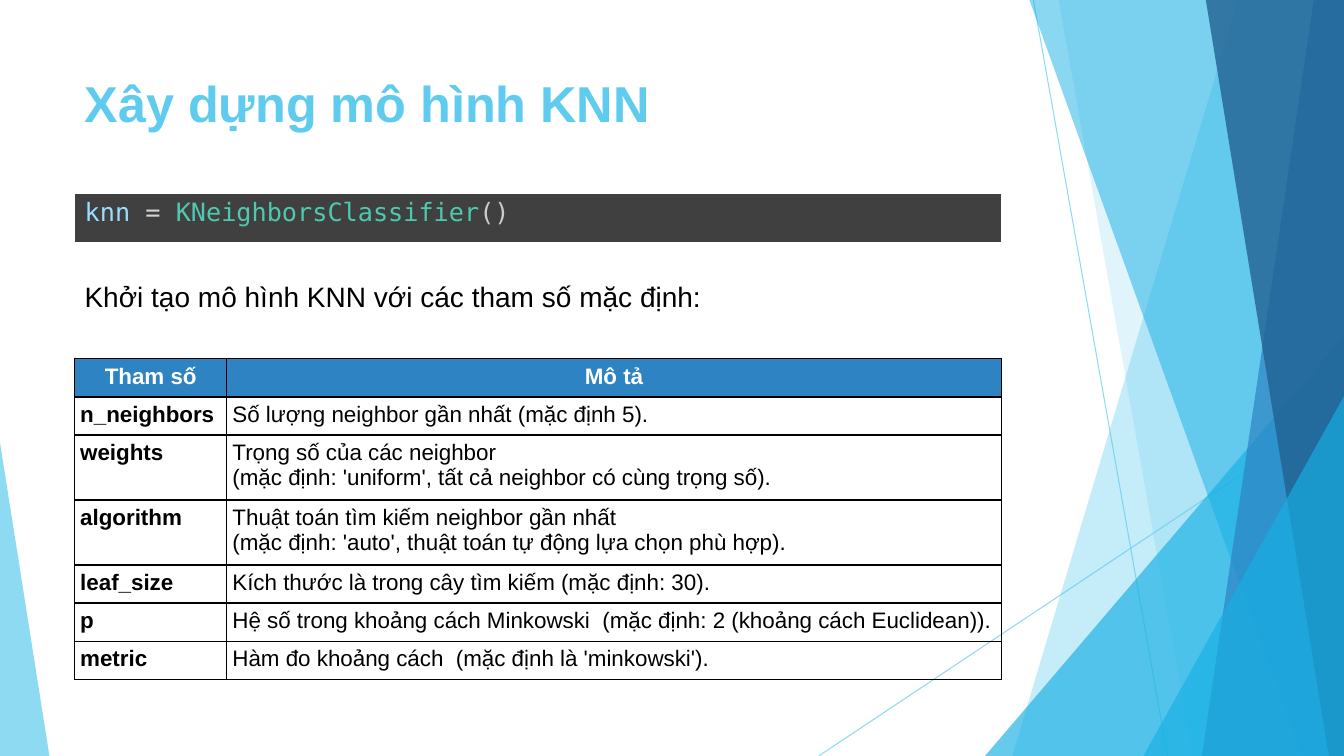
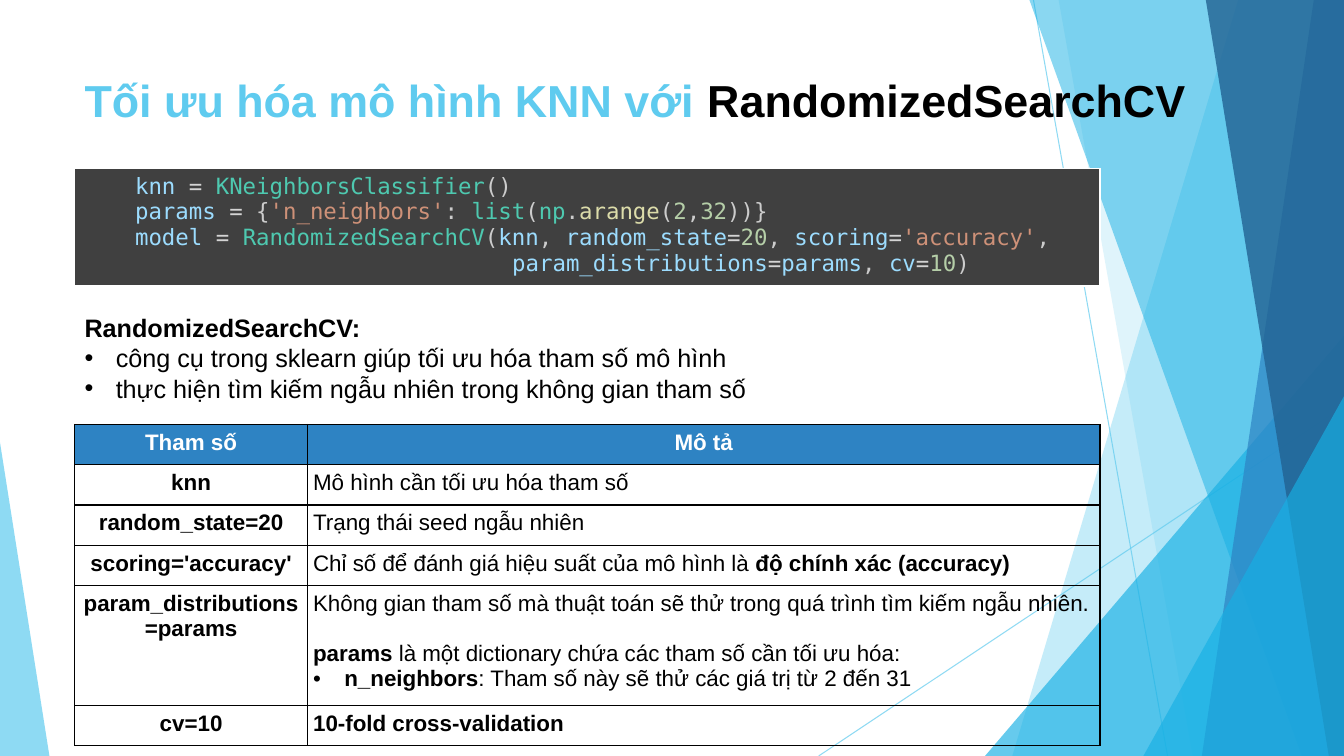
from dataclasses import dataclass

from lxml import etree
from pptx import Presentation
from pptx import util as u
from pptx.dml.color import RGBColor
from pptx.enum import shapes, text
from pptx.oxml import ns


@dataclass(frozen=True)
class Theme:
    sky: str = "5FCBEF"
    cyan: str = "17B0E4"
    blue: str = "2E83C3"
    navy: str = "226292"
    ink: str = "000000"
    paper: str = "FFFFFF"
    code_back: str = "404040"
    sans: str = "Arial"
    mono: str = "DejaVu Sans Mono"
    cell_size: int = 16


THEME = Theme()
SYNTAX = {"var": "9CDCFE", "op": "D4D4D4", "type": "4EC9B0", "plain": "CCCCCC",
          "str": "CE9178", "func": "DCDCAA", "num": "B5CEA8"}
WIDTH, HEIGHT = 13.33, 7.5
LEFT = 0.74
HEADINGS = ("Tham số", "Mô tả")
BULLET = "• "
BULLET_INDENT = 0.31
CELL_INSET = u.Pt(4)

# Facets from back to front: a band is (top x, bottom x) running to the right
# edge, a triangle is (left, top, width, apex share).
FACETS = [
    ("band", (12.28, 10.04), THEME.sky, 36),
    ("band", (10.5, 11.83), THEME.sky, 20),
    ("triangle", (9.77, 3.33, 3.56, 1), THEME.cyan, 66),
    ("band", (10.21, 12.91), THEME.cyan, 50),
    ("band", (13.03, 11.92), THEME.blue, 70),
    ("band", (11.96, 13.18), THEME.navy, 80),
    ("triangle", (11.34, 3.93, 1.99, 1), THEME.cyan, 66),
    ("triangle", (0, 4.39, 0.49, 0), THEME.sky, 70),
]
RAYS = [((10.25, 0), (11.58, HEIGHT)), ((WIDTH, 4.03), (8.12, HEIGHT))]


def inches(*lengths):
    return [u.Inches(length) for length in lengths]


def rgb(color):
    return RGBColor.from_string(color)


def sub(parent, tag, **attributes):
    return etree.SubElement(parent, ns.qn(tag), attributes)


def set_alpha(drawn, percent):
    for color in drawn._element.spPr.iter(ns.qn("a:srgbClr")):
        sub(color, "a:alpha", val=str(percent * 1000))


def add_backdrop(slide):
    """Draw the thin rays and the translucent facets shared by all slides."""
    for start, end in RAYS:
        ray = slide.shapes.add_connector(
            shapes.MSO_CONNECTOR.STRAIGHT, *inches(*start, *end))
        ray.line.color.rgb = rgb(THEME.sky)
        ray.line.width = u.Pt(0.75)
        set_alpha(ray, 70)
        sub(ray._element.spPr, "a:effectLst")
    for kind, place, color, percent in FACETS:
        if kind == "band":
            top_x, bottom_x = place
            outline = slide.shapes.build_freeform(*inches(top_x, 0))
            outline.add_line_segments(
                [inches(*point) for point in
                 ((WIDTH, 0), (WIDTH, HEIGHT), (bottom_x, HEIGHT))])
            facet = outline.convert_to_shape()
        else:
            left, top, width, apex = place
            facet = slide.shapes.add_shape(
                shapes.MSO_SHAPE.ISOSCELES_TRIANGLE,
                *inches(left, top, width, HEIGHT - top))
            facet.adjustments[0] = apex
        facet.shadow.inherit = False
        facet.fill.solid()
        facet.fill.fore_color.rgb = rgb(color)
        facet.line.fill.background()
        set_alpha(facet, percent)


def set_indent(paragraph, margin, first=0):
    properties = paragraph._p.get_or_add_pPr()
    properties.set("marL", str(u.Inches(margin)))
    properties.set("indent", str(u.Inches(first)))


def set_font(paragraph, size, color=None, bold=None, face=THEME.sans):
    font = paragraph.font
    font.name, font.size, font.bold = face, u.Pt(size), bold
    if color:
        font.color.rgb = rgb(color)


def paragraphs_for(frame, lines):
    """Pair each line with its own paragraph of the frame."""
    for number, line in enumerate(lines):
        yield (frame.add_paragraph() if number else frame.paragraphs[0]), line


def write_marked(frame, lines, size, color=THEME.ink, align=None):
    """Write lines where *stars* mark bold, newlines break, and • is a bullet."""
    for paragraph, line in paragraphs_for(frame, lines):
        if line.startswith(BULLET):
            line = line.removeprefix(BULLET)
            set_indent(paragraph, BULLET_INDENT, -BULLET_INDENT)
            sub(paragraph._p.get_or_add_pPr(), "a:buFont", typeface=THEME.sans)
            sub(paragraph._p.get_or_add_pPr(), "a:buChar", char=BULLET.strip())
        paragraph.alignment = align
        pieces = line.split("*")
        all_bold = not any(pieces[::2])
        set_font(paragraph, size, color, all_bold)
        for position, piece in enumerate(pieces):
            for row, part in enumerate(piece.split("\n") if piece else []):
                if row:
                    paragraph.add_line_break()
                run = paragraph.add_run()
                run.text = part
                if position % 2 and not all_bold:
                    run.font.bold = True


def add_text_box(slide, left, top, width, height):
    frame = slide.shapes.add_textbox(*inches(left, top, width, height)).text_frame
    frame.word_wrap = True
    return frame


def add_title(slide, size, width, *parts):
    """Write the title from (words, colour) parts."""
    title = add_text_box(slide, LEFT, 0.67, width, 1.44).paragraphs[0]
    set_font(title, size, bold=True)
    for words, color in parts:
        run = title.add_run()
        run.text = words
        run.font.color.rgb = rgb(color)


def add_note(slide, top, width, height, lines, size):
    write_marked(add_text_box(slide, LEFT, top, width, height), lines, size)


def style_cell(cell, fill, border):
    properties = cell._tc.get_or_add_tcPr()
    for side in ("a:lnL", "a:lnR", "a:lnT", "a:lnB"):
        edge = sub(properties, side, w=str(u.Pt(1)))
        sub(sub(edge, "a:solidFill"), "a:srgbClr", val=border)
    if fill:
        cell.fill.solid()
        cell.fill.fore_color.rgb = rgb(fill)
    else:
        cell.fill.background()


def add_grid(slide, top, columns, rows):
    """Add an unbanded table with the given column widths and row heights."""
    table = slide.shapes.add_table(
        len(rows), len(columns),
        *inches(LEFT, top, sum(columns), sum(rows))).table
    table.first_row = table.horz_banding = False
    for column, width in zip(table.columns, columns):
        column.width = u.Inches(width)
    for row, height in zip(table.rows, rows):
        row.height = u.Inches(height)
    return table


def add_code(slide, top, width, height, size, lines):
    """Write lines of (indent, tokens) on a dark panel."""
    cell = add_grid(slide, top, [width], [height]).cell(0, 0)
    style_cell(cell, THEME.code_back, THEME.paper)
    for paragraph, (indent, tokens) in paragraphs_for(cell.text_frame, lines):
        set_indent(paragraph, indent)
        set_font(paragraph, size, face=THEME.mono)
        for kind, token in tokens:
            run = paragraph.add_run()
            run.text = token
            run.font.color.rgb = rgb(SYNTAX[kind])


def add_parameters(slide, top, columns, heights, parameters, name_align=None):
    """Add the table of parameter names and their descriptions."""
    table = add_grid(slide, top, columns, heights)
    center = text.PP_ALIGN.CENTER
    entries = [HEADINGS] + parameters
    for row, (name, description) in enumerate(entries):
        lines = description if isinstance(description, list) else [description]
        if row == 0:
            lines = [f"*{description}*"]
        for column, content in enumerate(([f"*{name}*"], lines)):
            cell = table.cell(row, column)
            cell.margin_left = cell.margin_right = CELL_INSET
            cell.margin_top = cell.margin_bottom = CELL_INSET
            style_cell(cell, None if row else THEME.blue, THEME.ink)
            align = center if row == 0 else (None if column else name_align)
            write_marked(cell.text_frame, content, THEME.cell_size,
                         THEME.ink if row else THEME.paper, align)
    return table


def new_slide(deck):
    slide = deck.slides.add_slide(deck.slide_layouts[6])
    add_backdrop(slide)
    return slide


CREATE_KNN = [("var", "knn "), ("op", "= "), ("type", "KNeighborsClassifier"),
              ("plain", "()")]


def build_model_slide(deck):
    slide = new_slide(deck)
    add_title(slide, 36, 9.4, ("Xây dựng mô hình KNN", THEME.sky))
    add_code(slide, 1.92, 9.19, 0.49, 18, [(0, CREATE_KNN)])
    one, two = 0.36, 0.61
    add_parameters(slide, 3.56, [1.51, 7.68], [one, one, two, two, one, one, one], [
        ("n_neighbors", "Số lượng neighbor gần nhất (mặc định 5)."),
        ("weights", "Trọng số của các neighbor\n"
                    "(mặc định: 'uniform', tất cả neighbor có cùng trọng số)."),
        ("algorithm", "Thuật toán tìm kiếm neighbor gần nhất\n"
                      "(mặc định: 'auto', thuật toán tự động lựa chọn phù hợp)."),
        ("leaf_size", "Kích thước là trong cây tìm kiếm (mặc định: 30)."),
        ("p", "Hệ số trong khoảng cách Minkowski  "
              "(mặc định: 2 (khoảng cách Euclidean))."),
        ("metric", "Hàm đo khoảng cách  (mặc định là 'minkowski')."),
    ])
    add_note(slide, 2.72, 6.67, 0.44,
             ["Khởi tạo mô hình KNN với các tham số mặc định:"], 20)


def build_search_slide(deck):
    slide = new_slide(deck)
    add_title(slide, 32, 11.59, ("Tối ưu hóa mô hình KNN với ", THEME.sky),
              ("RandomizedSearchCV", THEME.ink))
    indent, argument_indent = 0.5, 4.24
    add_code(slide, 1.67, 10.17, 1.13, 16, [
        (indent, CREATE_KNN),
        (indent, [("var", "params "), ("op", "="), ("plain", " {"),
                  ("str", "'n_neighbors'"), ("plain", ": "), ("type", "list"),
                  ("plain", "("), ("type", "np"), ("plain", "."),
                  ("func", "arange"), ("plain", "("), ("num", "2"),
                  ("plain", ","), ("num", "32"), ("plain", "))}")]),
        (indent, [("var", "model "), ("op", "= "), ("type", "RandomizedSearchCV"),
                  ("plain", "("), ("var", "knn"), ("plain", ", "),
                  ("var", "random_state"), ("op", "="), ("num", "20"),
                  ("plain", ", "), ("var", "scoring"), ("op", "="),
                  ("str", "'accuracy'"), ("plain", ",")]),
        (argument_indent, [("var", "param_distributions"), ("op", "="),
                           ("var", "params"), ("plain", ", "), ("var", "cv"),
                           ("op", "="), ("num", "10"), ("plain", ")")]),
    ])
    add_note(slide, 3.05, 7.14, 1.01, [
        "*RandomizedSearchCV:*",
        "• công cụ trong sklearn giúp tối ưu hóa tham số mô hình",
        "• thực hiện tìm kiếm ngẫu nhiên trong không gian tham số"], 18)
    search_space = [
        "Không gian tham số mà thuật toán sẽ thử trong quá trình tìm kiếm ngẫu nhiên.",
        "*params* là một dictionary chứa các tham số cần tối ưu hóa:",
        "• *n_neighbors*: Tham số này sẽ thử các giá trị từ 2 đến 31"]
    table = add_parameters(slide, 4.21, [2.31, 7.86], [0.4] * 4 + [1.19, 0.4], [
        ("knn", "Mô hình cần tối ưu hóa tham số"),
        ("random_state=20", "Trạng thái seed ngẫu nhiên"),
        ("scoring='accuracy'", "Chỉ số để đánh giá hiệu suất của mô hình là "
                               "*độ chính xác (accuracy)*"),
        ("param_distributions\n=params", search_space),
        ("cv=10", "*10-fold cross-validation*"),
    ], text.PP_ALIGN.CENTER)
    table.cell(4, 1).text_frame.paragraphs[0].space_after = u.Pt(18)


def main():
    deck = Presentation()
    deck.slide_width, deck.slide_height = inches(WIDTH, HEIGHT)
    build_model_slide(deck)
    build_search_slide(deck)
    deck.save("out.pptx")


if __name__ == "__main__":
    main()
